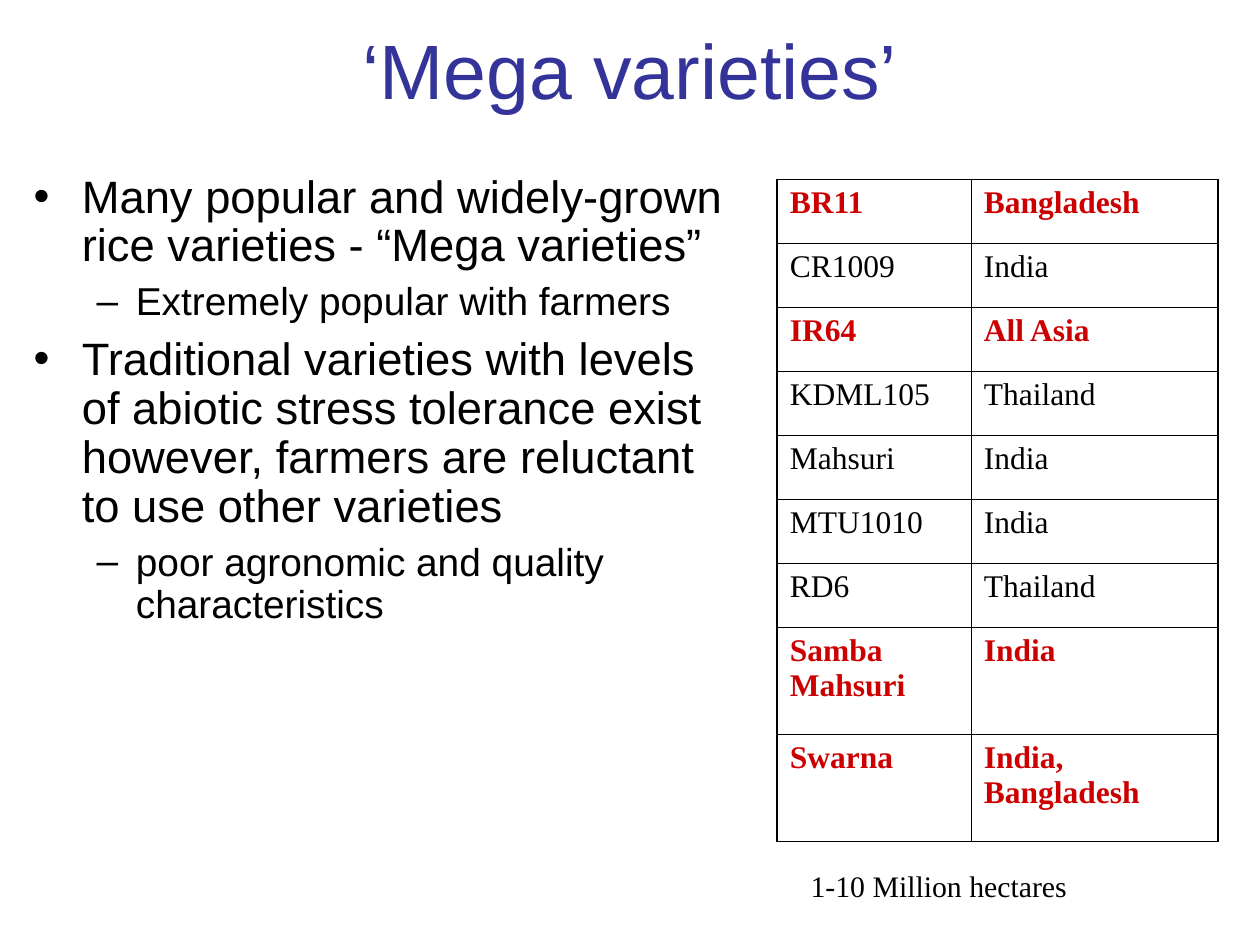
from dataclasses import dataclass

from lxml import etree
from pptx import Presentation
from pptx.dml.color import RGBColor
from pptx.enum.text import MSO_ANCHOR, PP_ALIGN
from pptx.oxml.ns import qn
from pptx.util import Cm, Pt

CENTER = PP_ALIGN.CENTER
MIDDLE = MSO_ANCHOR.MIDDLE
TITLE_ONLY = 5
SANS = "Arial"
SERIF = "Times New Roman"
COLORS = {"title": "333399", "text": "000000", "highlight": "CC0000"}


@dataclass(frozen=True)
class Level:
    number: int
    bullet: str
    size: float
    indent: float
    hanging: float
    space_before: float


@dataclass(frozen=True)
class Point:
    text: str
    level: Level


@dataclass(frozen=True)
class Variety:
    name: str
    region: str
    highlighted: bool = False
    height: float = 1.29


MAIN = Level(0, "•", 25.9, 0.97, 0.97, 7)
DETAIL = Level(1, "–", 22.2, 2.06, 0.79, 6)

POINTS = [
    Point("Many popular and widely-grown rice varieties - “Mega varieties”", MAIN),
    Point("Extremely popular with farmers", DETAIL),
    Point("Traditional varieties with levels of abiotic stress tolerance exist "
          "however, farmers are reluctant to use other varieties", MAIN),
    Point("poor agronomic and quality characteristics", DETAIL),
]

VARIETIES = [
    Variety("BR11", "Bangladesh", True),
    Variety("CR1009", "India"),
    Variety("IR64", "All Asia", True),
    Variety("KDML105", "Thailand"),
    Variety("Mahsuri", "India"),
    Variety("MTU1010", "India"),
    Variety("RD6", "Thailand"),
    Variety("Samba Mahsuri", "India", True, 2.16),
    Variety("Swarna", "India, Bangladesh", True, 2.16),
]
COLUMN_WIDTHS = [3.91, 4.98]
OUTER_LINE = 1.08
INNER_LINE = 0.45


def write(para, text: str, *, size: float, font: str = SANS, color: str = "text",
          bold: bool = False, align=None, level: Level | None = None,
          space_before: float = 0) -> None:
    if level:
        para.level = level.number
        para.line_spacing = 0.9
        properties = para._p.get_or_add_pPr()
        properties.set("marL", str(Cm(level.indent)))
        properties.set("indent", str(-Cm(level.hanging)))
        bullet_color = etree.SubElement(properties, qn("a:buClr"))
        etree.SubElement(bullet_color, qn("a:srgbClr"), val=COLORS["text"])
        etree.SubElement(properties, qn("a:buFont"), typeface=SANS)
        etree.SubElement(properties, qn("a:buChar"), char=level.bullet)
    para.space_before = Pt(space_before)
    if align is not None:
        para.alignment = align
    span = para.add_run()
    span.text = text
    span.font.size = Pt(size)
    span.font.name = font
    span.font.bold = bold
    span.font.color.rgb = RGBColor.from_string(COLORS[color])


def add_text_frame(page, left: float, top: float, width: float, height: float):
    box = page.shapes.add_textbox(Cm(left), Cm(top), Cm(width), Cm(height))
    box.text_frame.word_wrap = True
    return box.text_frame


def add_title(page, text: str) -> None:
    title = page.shapes.title
    title.left, title.top = Cm(0), Cm(-0.2)
    title.width, title.height = Cm(25.4), Cm(3.18)
    title.text_frame.vertical_anchor = MIDDLE
    write(title.text_frame.paragraphs[0], text, size=44, color="title", align=CENTER)


def add_points(page, points: list[Point]) -> None:
    frame = add_text_frame(page, 0.43, 3.38, 14.81, 13.13)
    for index, point in enumerate(points):
        para = frame.add_paragraph() if index else frame.paragraphs[0]
        write(para, point.text, size=point.level.size, level=point.level,
              space_before=point.level.space_before if index else 0)


def set_borders(cell, left: float, right: float) -> None:
    properties = cell._tc.get_or_add_tcPr()
    widths = {"a:lnL": left, "a:lnR": right, "a:lnT": INNER_LINE, "a:lnB": INNER_LINE}
    for tag, width in widths.items():
        line = etree.SubElement(properties, qn(tag), w=str(Pt(width)))
        fill = etree.SubElement(line, qn("a:solidFill"))
        etree.SubElement(fill, qn("a:srgbClr"), val=COLORS["text"])


def add_variety_table(page, varieties: list[Variety]) -> None:
    frame = page.shapes.add_table(
        len(varieties), len(COLUMN_WIDTHS), Cm(15.67), Cm(3.61),
        Cm(sum(COLUMN_WIDTHS)), Cm(sum(variety.height for variety in varieties)))
    table = frame.table
    table.first_row = False
    table.horz_banding = False
    for column, width in zip(table.columns, COLUMN_WIDTHS):
        column.width = Cm(width)
    for row, variety in zip(table.rows, varieties):
        row.height = Cm(variety.height)
        color = "highlight" if variety.highlighted else "text"
        name_cell, region_cell = row.cells
        set_borders(name_cell, OUTER_LINE, INNER_LINE)
        set_borders(region_cell, INNER_LINE, OUTER_LINE)
        for cell, text in ((name_cell, variety.name), (region_cell, variety.region)):
            cell.fill.background()
            write(cell.text_frame.paragraphs[0], text, size=18, font=SERIF,
                  color=color, bold=variety.highlighted)


def main() -> None:
    deck = Presentation()
    deck.slide_width, deck.slide_height = Cm(25.4), Cm(19.05)
    page = deck.slides.add_slide(deck.slide_layouts[TITLE_ONLY])
    add_title(page, "‘Mega varieties’")
    add_points(page, POINTS)
    add_variety_table(page, VARIETIES)
    area_frame = add_text_frame(page, 16.09, 17.36, 8.89, 1.06)
    write(area_frame.paragraphs[0], "1-10 Million hectares", size=17, font=SERIF)
    deck.save("out.pptx")


if __name__ == "__main__":
    main()
